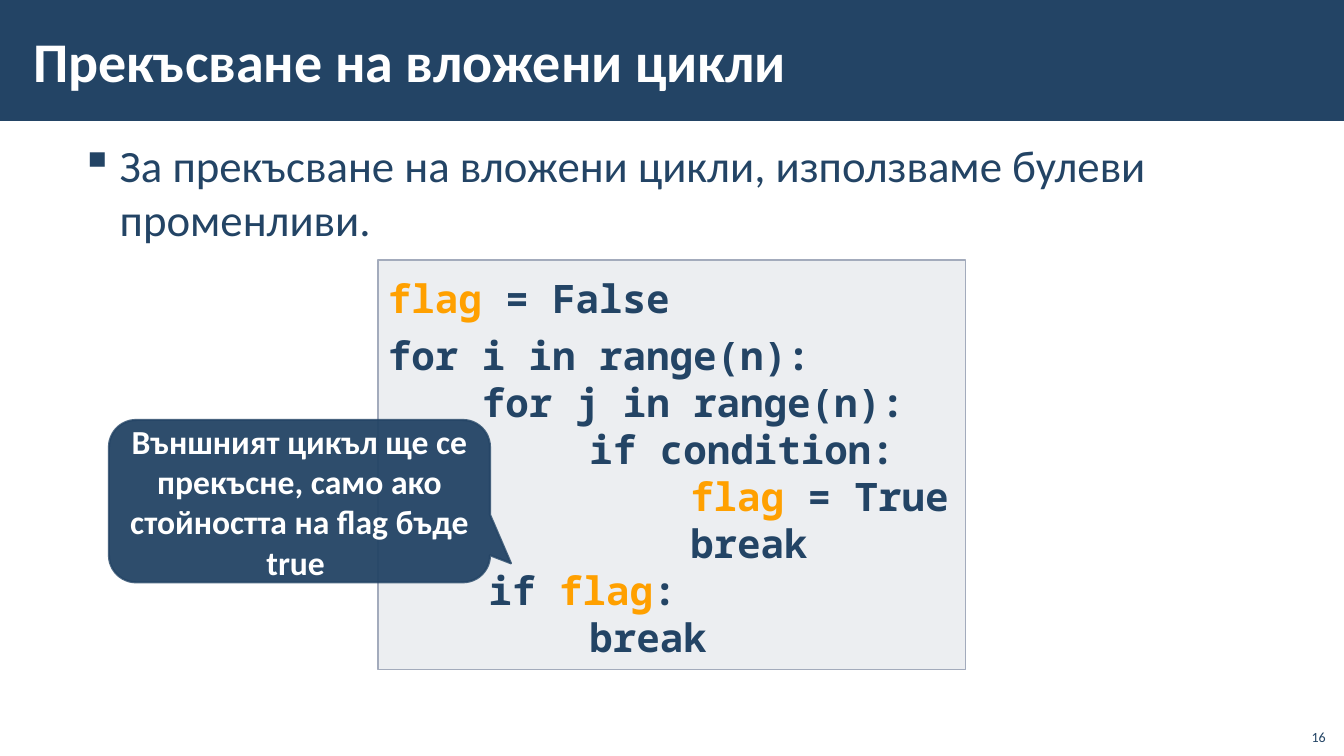
from dataclasses import dataclass

from lxml.etree import SubElement
from pptx import Presentation
from pptx.dml.color import RGBColor
from pptx.enum.shapes import MSO_SHAPE
from pptx.enum.text import MSO_ANCHOR, PP_ALIGN
from pptx.oxml.ns import qn
from pptx.util import Pt


@dataclass(frozen=True)
class Theme:
    navy: str = "234465"
    white: str = "FFFFFF"
    orange: str = "FFA000"
    grey: str = "A3ABBC"
    text_font: str = "Calibri"
    code_font: str = "Noto Sans Mono"
    title_size: int = 40
    body_size: int = 32
    code_size: int = 28
    note_size: int = 24
    number_size: int = 10


def set_opacity(fill, percent):
    """Make a solid fill (of a shape or a line) partly transparent."""
    color = fill._xPr.find(qn("a:solidFill"))[0]
    SubElement(color, qn("a:alpha")).set("val", str(percent * 1000))


def add_span(para, text, font, size, color, bold=False):
    span = para.add_run()
    span.text = text
    span.font.name = font
    span.font.size = Pt(size)
    span.font.bold = bold
    span.font.color.rgb = RGBColor.from_string(color)


def write(para, text, *, font, size, color, bold=False, align=PP_ALIGN.LEFT,
          accent=None, accent_color=None):
    """Fill a paragraph; the accent word gets its own color, \\n breaks a line."""
    para.alignment = align
    for number, line in enumerate(text.split("\n")):
        if number:
            para.add_line_break()
        before, word, after = line.partition(accent) if accent else (line, "", "")
        for part, part_color in ((before, color), (word, accent_color), (after, color)):
            if part:
                add_span(para, part, font, size, part_color, bold)


class SlideBuilder:
    def __init__(self, deck, theme):
        self.theme = theme
        self.page = deck.slides.add_slide(deck.slide_layouts[6])

    def shape(self, kind, place, fill, opacity=100, line=None, line_width=1, line_opacity=100):
        box = self.page.shapes.add_shape(kind, *map(Pt, place))
        box.shadow.inherit = False
        box.fill.solid()
        box.fill.fore_color.rgb = RGBColor.from_string(fill)
        set_opacity(box.fill, opacity)
        if line:
            box.line.color.rgb = RGBColor.from_string(line)
            box.line.width = Pt(line_width)
            set_opacity(box.line.fill, line_opacity)
        else:
            box.line.fill.background()
        return box

    def frame(self, box, anchor, side=7.2, edge=3.6):
        frame = box.text_frame
        frame.word_wrap = True
        frame.vertical_anchor = anchor
        frame.margin_left = frame.margin_right = Pt(side)
        frame.margin_top = frame.margin_bottom = Pt(edge)
        return frame

    def text(self, place, text, anchor=MSO_ANCHOR.TOP, side=7.2, edge=3.6, **style):
        box = self.page.shapes.add_textbox(*map(Pt, place))
        para = self.frame(box, anchor, side, edge).paragraphs[0]
        write(para, text, font=self.theme.text_font, **style)
        return para

    def bullet(self, place, text, indent=28, **style):
        para = self.text(place, text, side=8.5, edge=2.8, **style)
        para.space_before = para.space_after = Pt(6)
        properties = para._p.get_or_add_pPr()
        properties.set("marL", str(Pt(indent)))
        properties.set("indent", str(-Pt(indent)))
        SubElement(properties, qn("a:buChar")).set("char", "▪")

    def code(self, place, lines, accent):
        theme = self.theme
        box = self.shape(MSO_SHAPE.RECTANGLE, place, theme.grey, opacity=20, line=theme.grey)
        frame = self.frame(box, MSO_ANCHOR.TOP)
        for number, (indent, spacing, line) in enumerate(lines):
            para = frame.add_paragraph() if number else frame.paragraphs[0]
            para.line_spacing = spacing
            para._p.get_or_add_pPr().set("marL", str(Pt(indent)))
            write(para, line, font=theme.code_font, size=theme.code_size, color=theme.navy,
                  bold=True, accent=accent, accent_color=theme.orange)

    def callout(self, place, text, adjustments):
        theme = self.theme
        box = self.shape(MSO_SHAPE.ROUNDED_RECTANGULAR_CALLOUT, place, theme.navy, opacity=95,
                         line=theme.navy, line_width=1.5, line_opacity=80)
        for number, value in enumerate(adjustments):
            box.adjustments[number] = value
        para = self.frame(box, MSO_ANCHOR.MIDDLE).paragraphs[0]
        write(para, text, font=theme.text_font, size=theme.note_size, color=theme.white,
              bold=True, align=PP_ALIGN.CENTER)


def main():
    deck = Presentation()
    deck.slide_width, deck.slide_height = Pt(960), Pt(540)
    theme = Theme()
    slide = SlideBuilder(deck, theme)

    # Title band
    slide.shape(MSO_SHAPE.RECTANGLE, (0, 0, 960, 86.4), theme.navy)
    slide.text((15.1, 7.9, 765.4, 69.8), "Прекъсване на вложени цикли", MSO_ANCHOR.MIDDLE,
               side=8.5, edge=2.8, size=theme.title_size, color=theme.white, bold=True)

    # Statement
    slide.bullet((49, 95.8, 862.6, 89.3),
                 "За прекъсване на вложени цикли, използваме булеви \nпроменливи.",
                 size=theme.body_size, color=theme.navy)

    # Code: indent, line spacing, text
    tab = 72
    four_letters = 67.2
    slide.code((270, 185.8, 419.8, 292.3), [
        (0, 1.2, "flag = False"),
        (0, 1.2, "for i in range(n):"),
        (four_letters, 1, "for j in range(n):"),
        (2 * tab, 1, "if condition:"),
        (3 * tab, 1, "flag = True"),
        (3 * tab, 1, "break"),
        (tab, 1, "if flag:"),
        (2 * tab, 1, "break"),
    ], accent="flag")

    # Explanation of the flag
    slide.callout((77.8, 300, 272.2, 116),
                  "Външният цикъл ще се прекъсне, само ако стойността на flag бъде true ",
                  (0.555, 0.383, 0.167))

    # Page number
    slide.text((925.2, 512.6, 28.8, 23), "16", MSO_ANCHOR.BOTTOM,
               size=theme.number_size, color=theme.navy, align=PP_ALIGN.RIGHT)

    deck.save("out.pptx")


if __name__ == "__main__":
    main()
